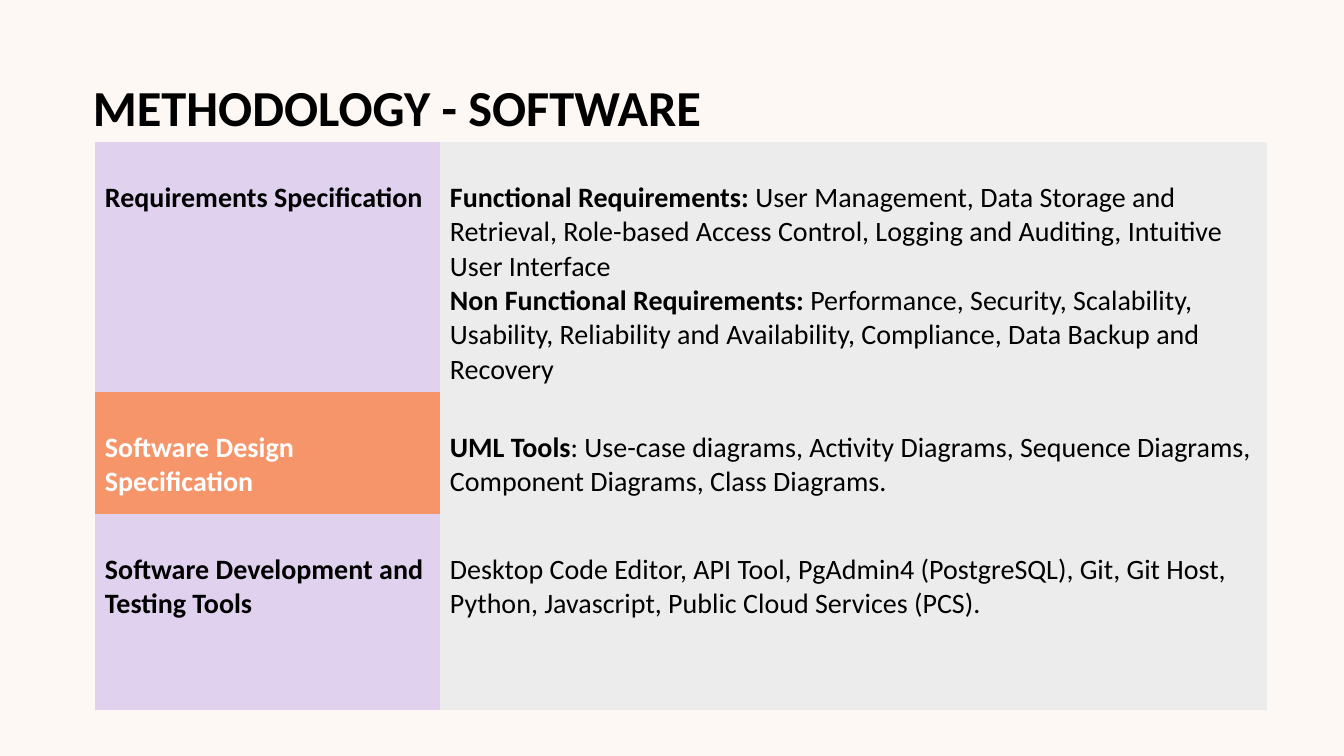
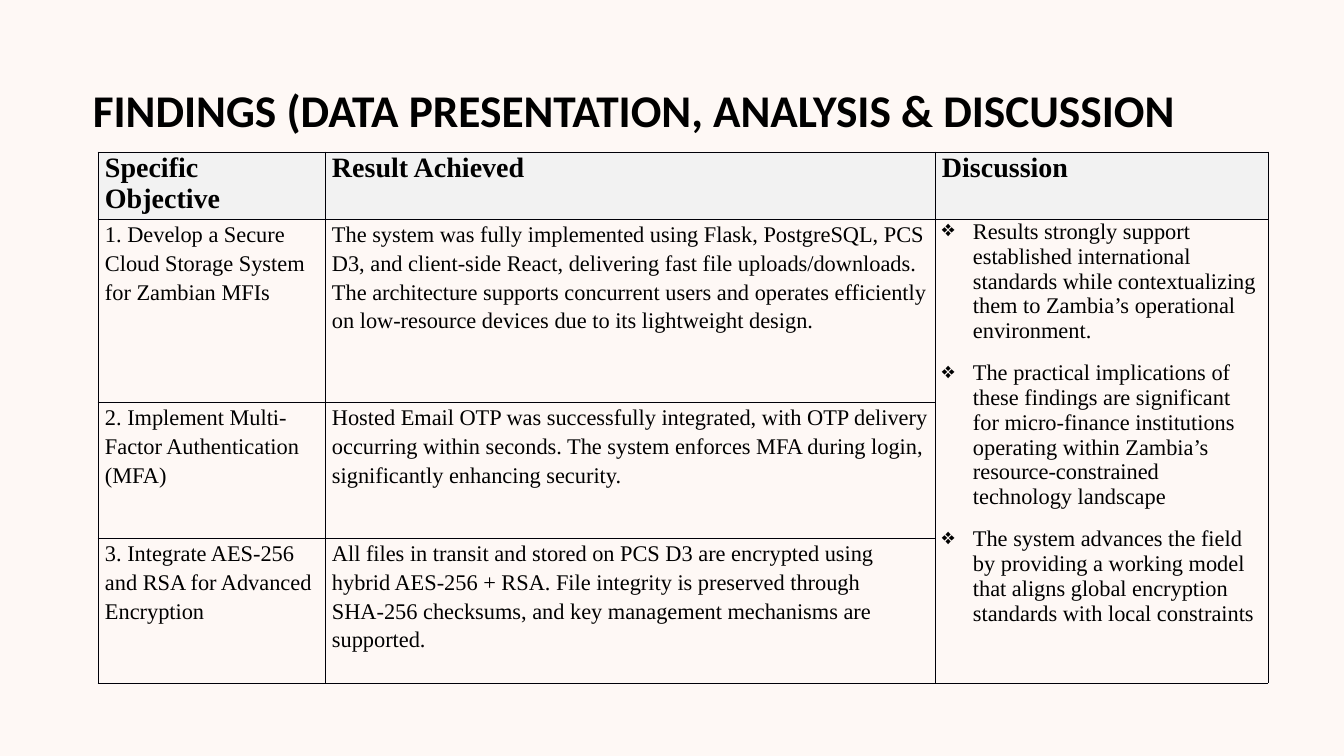
"""Builds two table slides on the methodology and findings of a software project."""
from dataclasses import dataclass

from lxml import etree
from pptx import Presentation
from pptx.dml.color import RGBColor as Rgb
from pptx.enum.text import MSO_ANCHOR as Anchor
from pptx.oxml.ns import qn
from pptx.util import Emu, Pt

SLIDE_W, SLIDE_H = 1344, 756
SCALE = 12192000 / SLIDE_W


@dataclass(frozen=True)
class Theme:
    """Holds the shared colours, fonts and type sizes."""
    ground: str = "FEF8F5"
    ink: str = "000000"
    light_ink: str = "FFFFFF"
    lilac: str = "E0D2EF"
    orange: str = "F6956A"
    grey: str = "EDECED"
    header: str = "F2F2F2"
    rule: str = "000008"
    rule_width: float = 0.5
    sans: str = "Calibri"
    serif: str = "Times New Roman"
    title_size: float = 36
    long_title_size: float = 32.4
    large_size: float = 20
    body_size: float = 16


THEME = Theme()

METHOD_TITLE = "METHODOLOGY - SOFTWARE"
METHOD_GRID = {"left": 95, "top": 142, "columns": [345, 827], "rows": [250, 122, 196]}
METHOD_INSETS = {"margin_left": 10, "margin_right": 10, "margin_top": 39, "margin_bottom": 5}
METHODS = [
    ("Requirements Specification", THEME.lilac, THEME.ink, [
        [("Functional Requirements: ", True),
         ("User Management, Data Storage and Retrieval, Role-based Access Control, "
          "Logging and Auditing, Intuitive User Interface", False)],
        [("Non Functional Requirements: ", True),
         ("Performance, Security, Scalability, Usability, Reliability and Availability, "
          "Compliance, Data Backup and Recovery", False)],
    ]),
    ("Software Design Specification", THEME.orange, THEME.light_ink, [
        [("UML Tools", True),
         (": Use-case diagrams, Activity Diagrams, Sequence Diagrams, "
          "Component Diagrams, Class Diagrams.", False)],
    ]),
    ("Software Development and Testing Tools", THEME.lilac, THEME.ink, [
        [("Desktop Code Editor, API Tool, PgAdmin4 (PostgreSQL), Git, Git Host, "
          "Python, Javascript, Public Cloud Services (PCS).", False)],
    ]),
]

FINDINGS_TITLE = "FINDINGS (DATA PRESENTATION, ANALYSIS & DISCUSSION"
FINDINGS_GRID = {"left": 98, "top": 152, "columns": [227, 610, 333],
                 "rows": [67, 183, 136, 145]}
FINDINGS_INSETS = {"margin_left": 7, "margin_right": 7, "margin_top": 0, "margin_bottom": 0}
HEADINGS = ["Specific Objective", "Result Achieved", "Discussion"]
FINDINGS = [
    ("1. Develop a Secure Cloud Storage System for Zambian MFIs",
     "The system was fully implemented using Flask, PostgreSQL, PCS D3, and client-side "
     "React, delivering fast file uploads/downloads. The architecture supports concurrent "
     "users and operates efficiently on low-resource devices due to its lightweight design."),
    ("2. Implement Multi-Factor Authentication (MFA)",
     "Hosted Email OTP was successfully integrated, with OTP delivery occurring within "
     "seconds. The system enforces MFA during login, significantly enhancing security."),
    ("3. Integrate AES-256 and RSA for Advanced Encryption",
     "All files in transit and stored on PCS D3 are encrypted using hybrid AES-256 + RSA. "
     "File integrity is preserved through SHA-256 checksums, and key management mechanisms "
     "are supported."),
]
DISCUSSION = [
    "Results strongly support established international standards while contextualizing "
    "them to Zambia’s operational environment.",
    "The practical implications of these findings are significant for micro-finance "
    "institutions operating within Zambia’s resource-constrained technology landscape",
    "The system advances the field by providing a working model that aligns global "
    "encryption standards with local constraints",
]
BULLET, BULLET_INDENT, BULLET_GAP = "❖", 31, 12


def px(length):
    return Emu(round(length * SCALE))


def plain(text, bold=False):
    return [(text, bold)]


def write(frame, paragraphs, font, size, color=THEME.ink, spacing=1.0, bulleted=False):
    for index, runs in enumerate(paragraphs):
        paragraph = frame.paragraphs[0] if index == 0 else frame.add_paragraph()
        if bulleted:
            properties = paragraph._p.get_or_add_pPr()
            properties.set("marL", str(px(BULLET_INDENT)))
            properties.set("indent", str(-px(BULLET_INDENT)))
            etree.SubElement(properties, qn("a:buChar")).set("char", BULLET)
            paragraph.space_before = Pt(BULLET_GAP if index else 0)
        paragraph.line_spacing = spacing
        for text, bold in runs:
            run = paragraph.add_run()
            run.text = text
            for name, value in {"name": font, "size": Pt(size), "bold": bold}.items():
                setattr(run.font, name, value)
            run.font.color.rgb = Rgb.from_string(color)


def add_titled_slide(deck, title, size):
    slide = deck.slides.add_slide(deck.slide_layouts[6])
    slide.background.fill.solid()
    slide.background.fill.fore_color.rgb = Rgb.from_string(THEME.ground)
    frame = slide.shapes.add_textbox(px(83), px(61), px(1182), px(81)).text_frame
    frame.word_wrap = True
    frame.vertical_anchor = Anchor.BOTTOM
    write(frame, [plain(title, True)], THEME.sans, size, spacing=0.9)
    return slide


def set_borders(cell, color):
    properties = cell._tc.get_or_add_tcPr()
    for side in ("lnL", "lnR", "lnT", "lnB"):
        line = etree.SubElement(properties, qn(f"a:{side}"))
        if color:
            line.set("w", str(Pt(THEME.rule_width)))
            fill = etree.SubElement(line, qn("a:solidFill"))
            etree.SubElement(fill, qn("a:srgbClr")).set("val", color)
        else:
            line.set("w", "0")
            etree.SubElement(line, qn("a:noFill"))


def add_grid(slide, grid, insets, border=None):
    columns, rows = grid["columns"], grid["rows"]
    table = slide.shapes.add_table(
        len(rows), len(columns), px(grid["left"]), px(grid["top"]),
        px(sum(columns)), px(sum(rows))).table
    table.first_row = table.horz_banding = False
    for column, width in zip(table.columns, columns):
        column.width = px(width)
    for row, height in zip(table.rows, rows):
        row.height = px(height)
    for cell in table.iter_cells():
        set_borders(cell, border)
        cell.fill.background()
        for name, value in insets.items():
            setattr(cell, name, px(value))
    return table


def paint(cell, color):
    cell.fill.solid()
    cell.fill.fore_color.rgb = Rgb.from_string(color)


def build_methodology(deck):
    slide = add_titled_slide(deck, METHOD_TITLE, THEME.title_size)
    table = add_grid(slide, METHOD_GRID, METHOD_INSETS)
    for row, (stage, stage_fill, stage_ink, details) in enumerate(METHODS):
        stage_cell, detail_cell = table.cell(row, 0), table.cell(row, 1)
        paint(stage_cell, stage_fill)
        paint(detail_cell, THEME.grey)
        write(stage_cell.text_frame, [plain(stage, True)], THEME.sans,
              THEME.large_size, stage_ink)
        write(detail_cell.text_frame, details, THEME.sans, THEME.large_size)


def build_findings(deck):
    slide = add_titled_slide(deck, FINDINGS_TITLE, THEME.long_title_size)
    table = add_grid(slide, FINDINGS_GRID, FINDINGS_INSETS, THEME.rule)
    for column, heading in enumerate(HEADINGS):
        cell = table.cell(0, column)
        paint(cell, THEME.header)
        write(cell.text_frame, [plain(heading, True)], THEME.serif, THEME.large_size)
    for row, finding in enumerate(FINDINGS, start=1):
        for column, text in enumerate(finding):
            write(table.cell(row, column).text_frame, [plain(text)], THEME.serif,
                  THEME.body_size, spacing=1.15)
    discussion = table.cell(1, 2)
    discussion.merge(table.cell(len(FINDINGS), 2))
    write(discussion.text_frame, [plain(point) for point in DISCUSSION], THEME.serif,
          THEME.body_size, bulleted=True)


def main():
    deck = Presentation()
    deck.slide_width, deck.slide_height = px(SLIDE_W), px(SLIDE_H)
    build_methodology(deck)
    build_findings(deck)
    deck.save("out.pptx")


if __name__ == "__main__":
    main()
